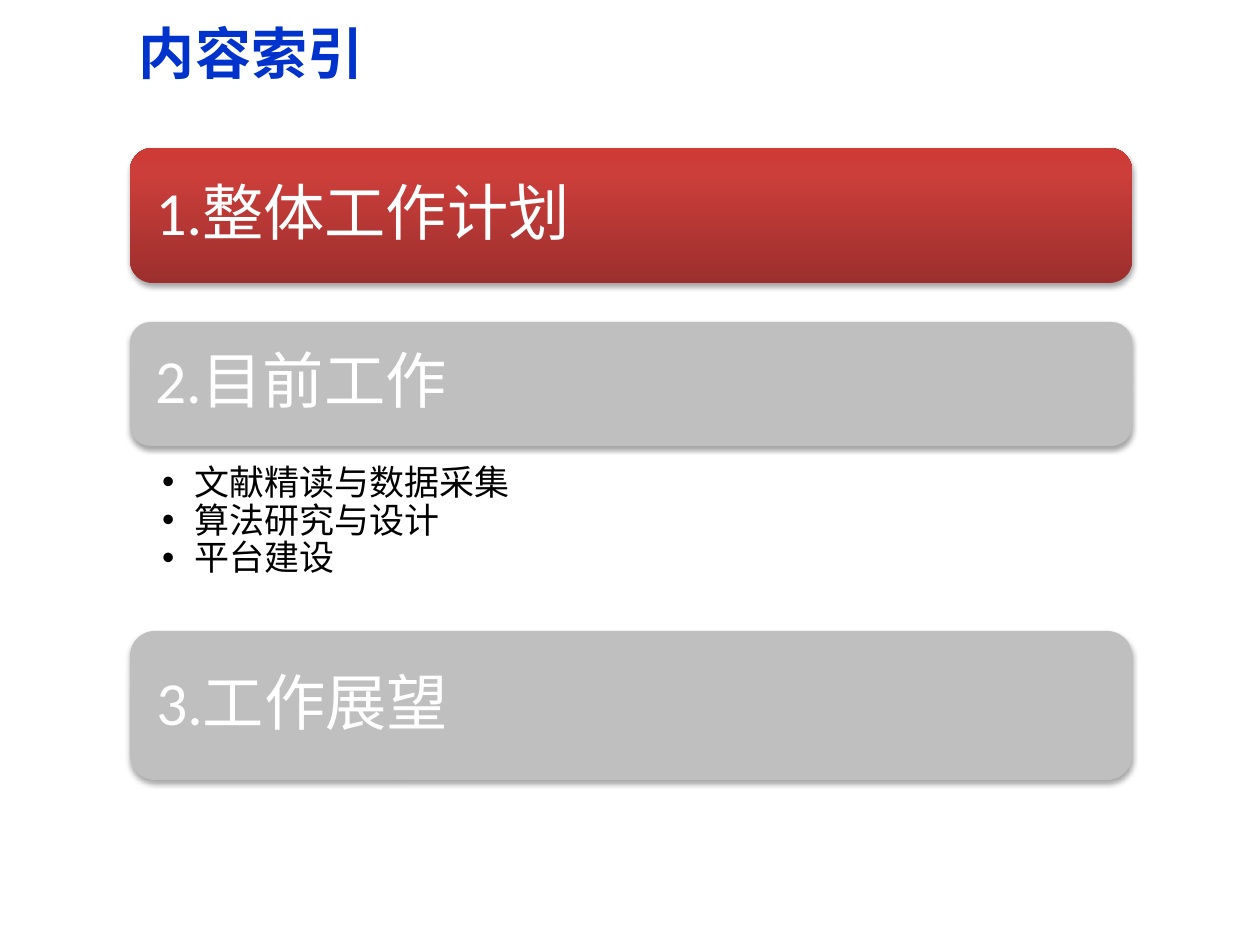
from lxml import etree
from pptx import Presentation
from pptx.dml.color import RGBColor
from pptx.enum.shapes import MSO_SHAPE
from pptx.enum.text import MSO_ANCHOR, MSO_AUTO_SIZE, PP_ALIGN
from pptx.oxml import parse_xml
from pptx.oxml.ns import qn
from pptx.util import Pt

ROUNDED = MSO_SHAPE.ROUNDED_RECTANGLE
MIDDLE, TOP = MSO_ANCHOR.MIDDLE, MSO_ANCHOR.TOP
NO_FIT = MSO_AUTO_SIZE.NONE
LEFT = PP_ALIGN.LEFT
SCALE = 914400 / 126
CJK_FONT = "Noto Sans CJK SC"
NAMESPACE = "http://schemas.openxmlformats.org/drawingml/2006/main"
SHADOW = (
    f'<a:outerShdw xmlns:a="{NAMESPACE}" blurRad="39370" dist="22860" dir="5400000" '
    'rotWithShape="0"><a:srgbClr val="000000"><a:alpha val="35000"/></a:srgbClr></a:outerShdw>'
)


def px(value):
    return round(value * SCALE)


def write_text(shape, lines, size, color, font="Calibri", bold=False, anchor=MIDDLE,
               insets=(19, 19, 19, 19), line_spacing=0.9, bullet=None):
    frame = shape.text_frame
    frame.word_wrap = True
    frame.auto_size = NO_FIT
    frame.vertical_anchor = anchor
    frame.margin_left, frame.margin_top, frame.margin_right, frame.margin_bottom = map(px, insets)
    frame.text = "\n".join(lines)
    for paragraph in frame.paragraphs:
        paragraph.alignment = LEFT
        paragraph.line_spacing = line_spacing
        paragraph.space_before = paragraph.space_after = Pt(0)
        run = paragraph.runs[0]
        run.font.size = Pt(size)
        run.font.name = font
        run.font.bold = bold
        run.font.color.rgb = RGBColor.from_string(color)
        etree.SubElement(run.font._element, qn("a:ea"), typeface=CJK_FONT)
        if bullet:
            properties = paragraph._p.get_or_add_pPr()
            properties.set("marL", str(px(32)))
            properties.set("indent", str(-px(32)))
            etree.SubElement(properties, qn("a:buChar"), char=bullet)


presentation = Presentation()
presentation.slide_width = px(1260)
presentation.slide_height = px(945)
slide = presentation.slides.add_slide(presentation.slide_layouts[1])

title, body = slide.placeholders
for placeholder, bounds in ((title, (126, -3, 1134, 110)), (body, (130, 461, 1002, 150))):
    placeholder.left, placeholder.top, placeholder.width, placeholder.height = map(px, bounds)

write_text(title, ["内容索引"], 32, "0033CC", font=CJK_FONT, bold=True,
           insets=(13, 6, 13, 6), line_spacing=1.0)
write_text(body, ["文献精读与数据采集", "算法研究与设计", "平台建设"], 20, "000000",
           anchor=TOP, insets=(32, 4, 20, 4), bullet="•")

RED = [(0, "9C2F2D"), (80, "CB3E3A"), (100, "CE3B37")]
sections = [
    ("1.整体工作计划", 148, 135, RED),
    ("2.目前工作", 322, 124, "BFBFBF"),
    ("3.工作展望", 631, 149, "BFBFBF"),
]
for heading, top, height, color in sections:
    bar = slide.shapes.add_shape(ROUNDED, px(130), px(top), px(1002), px(height))
    bar.line.fill.background()
    if color is RED:
        bar.fill.gradient()
        bar.fill.gradient_angle = 90
        stops = bar._element.spPr.find(qn("a:gradFill")).find(qn("a:gsLst"))
        for stop in list(stops):
            stops.remove(stop)
        for position, stop_color in color:
            stop = etree.SubElement(stops, qn("a:gs"), pos=str(position * 1000))
            etree.SubElement(stop, qn("a:srgbClr"), val=stop_color)
    else:
        bar.fill.solid()
        bar.fill.fore_color.rgb = RGBColor.from_string(color)
    bar.shadow.inherit = False
    bar._element.spPr.find(qn("a:effectLst")).append(parse_xml(SHADOW))
    write_text(bar, [heading], 35, "FFFFFF")

presentation.save("out.pptx")
